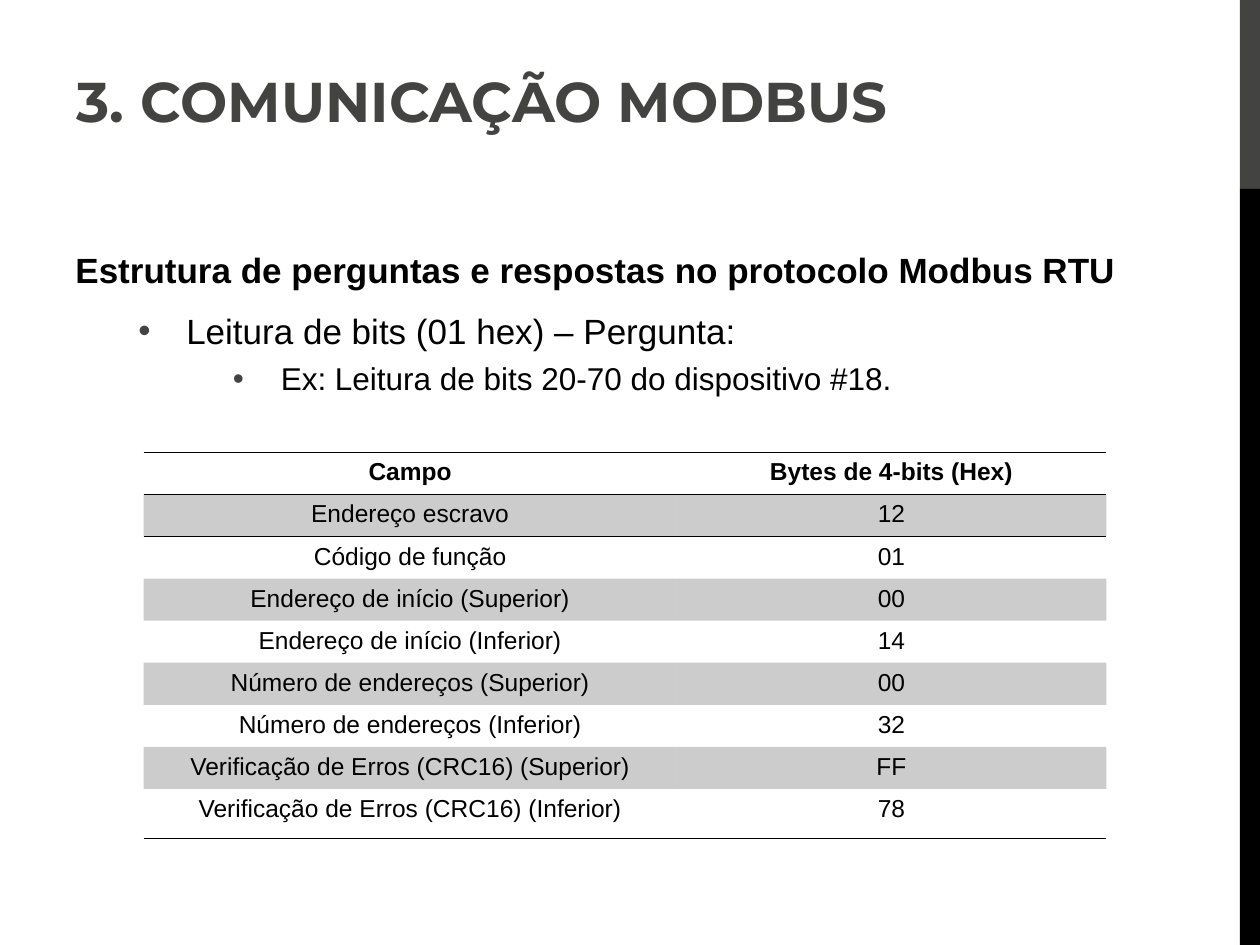
"""Build the Modbus RTU slide with its question frame table."""
from lxml.etree import SubElement
from pptx import Presentation
from pptx.dml.color import RGBColor
from pptx.enum.shapes import MSO_SHAPE as SHAPE
from pptx.enum.text import MSO_ANCHOR as ANCHOR, PP_ALIGN as ALIGN
from pptx.oxml import parse_xml
from pptx.oxml.ns import nsdecls, qn
from pptx.util import Inches, Pt


def color(value):
    return RGBColor.from_string(value)


def add_text(p, text, size=14, bold=False, font="Arial", fill="000000",
             align=None, before=0, after=0, level=0, margin=0, indent=0, bullet=None):
    p.level = level
    pPr = p._p.get_or_add_pPr()
    pPr.set("marL", str(Inches(margin)))
    pPr.set("indent", str(Inches(indent)))
    if bullet:
        SubElement(SubElement(pPr, qn("a:buClr")), qn("a:srgbClr")).set("val", "434342")
        SubElement(pPr, qn("a:buFont")).set("typeface", "Arial")
        SubElement(pPr, qn("a:buChar")).set("char", bullet)
    p.alignment = align
    p.space_before, p.space_after = Pt(before), Pt(after)
    r = p.add_run()
    r.text = text
    r.font.size, r.font.bold, r.font.name = Pt(size), bold, font
    r.font.color.rgb = color(fill)


prs = Presentation()
prs.slide_width, prs.slide_height = Inches(10), Inches(7.5)
s = prs.slides.add_slide(prs.slide_layouts[6])

for top, height, fill in [(0, 1.5, "434342"), (1.5, 6, "000000")]:
    sp = s.shapes.add_shape(SHAPE.RECTANGLE, Inches(9.84), Inches(top), Inches(0.16), Inches(height))
    sp.shadow.inherit = False
    sp.fill.solid()
    sp.fill.fore_color.rgb = color(fill)
    sp.line.fill.background()

tf = s.shapes.add_textbox(Inches(0.5), Inches(1.92), Inches(8.52), Inches(4.78)).text_frame
tf.word_wrap = True
add_text(tf.paragraphs[0], "Estrutura de perguntas e respostas no protocolo Modbus RTU",
         size=20, bold=True, after=6, margin=0.38, indent=-0.38)
add_text(tf.add_paragraph(), "Leitura de bits (01 hex) – Pergunta:",
         size=20, before=5, level=1, margin=0.88, indent=-0.38, bullet="•")
add_text(tf.add_paragraph(), "Ex: Leitura de bits 20-70 do dispositivo #18.",
         size=18, before=4.5, level=2, margin=1.63, indent=-0.38, bullet="•")

rows = [
    ("Campo", "Bytes de 4-bits (Hex)"),
    ("Endereço escravo", "12"),
    ("Código de função", "01"),
    ("Endereço de início (Superior)", "00"),
    ("Endereço de início (Inferior)", "14"),
    ("Número de endereços (Superior)", "00"),
    ("Número de endereços (Inferior)", "32"),
    ("Verificação de Erros (CRC16) (Superior)", "FF"),
    ("Verificação de Erros (CRC16) (Inferior)", "78"),
]
last = len(rows) - 1
borders = {0: ("lnT", "lnB"), 1: ("lnT",), last: ("lnB",)}
frame = s.shapes.add_table(len(rows), 2, Inches(1.14), Inches(3.59), Inches(7.64), Inches(3.03))
table = frame.table
table.horz_banding = False
frame.element.xpath(".//a:tableStyleId")[0].text = "{2D5ABB26-0587-4C30-8999-92F81FD0307C}"
for col, width in zip(table.columns, (4.23, 3.41)):
    col.width = Inches(width)
for i, row in enumerate(rows):
    table.rows[i].height = Inches(0.39 if i == last else 0.33)
    for j, text in enumerate(row):
        cell = table.cell(i, j)
        cell.margin_left = cell.margin_right = Inches(0.08)
        cell.margin_top = cell.margin_bottom = Inches(0.05)
        add_text(cell.text_frame.paragraphs[0], text, bold=i == 0, align=ALIGN.CENTER)
        tcPr = cell._tc.get_or_add_tcPr()
        if i % 2:
            cell.fill.solid()
            cell.fill.fore_color.rgb = color("000000")
            SubElement(tcPr.find(".//" + qn("a:srgbClr")), qn("a:alpha")).set("val", "20000")
        else:
            cell.fill.background()
        for k, side in enumerate(borders.get(i, ())):
            tcPr.insert(k, parse_xml(
                f'<a:{side} {nsdecls("a")} w="{Pt(0.45)}"><a:solidFill>'
                f'<a:srgbClr val="000000"/></a:solidFill></a:{side}>'))

tf = s.shapes.add_textbox(Inches(0.51), Inches(0.28), Inches(9.13), Inches(0.83)).text_frame
tf.word_wrap = True
tf.vertical_anchor = ANCHOR.BOTTOM
add_text(tf.paragraphs[0], "3. COMUNICAÇÃO MODBUS", size=32, bold=True,
         font="Montserrat", fill="434342")

prs.save("out.pptx")
